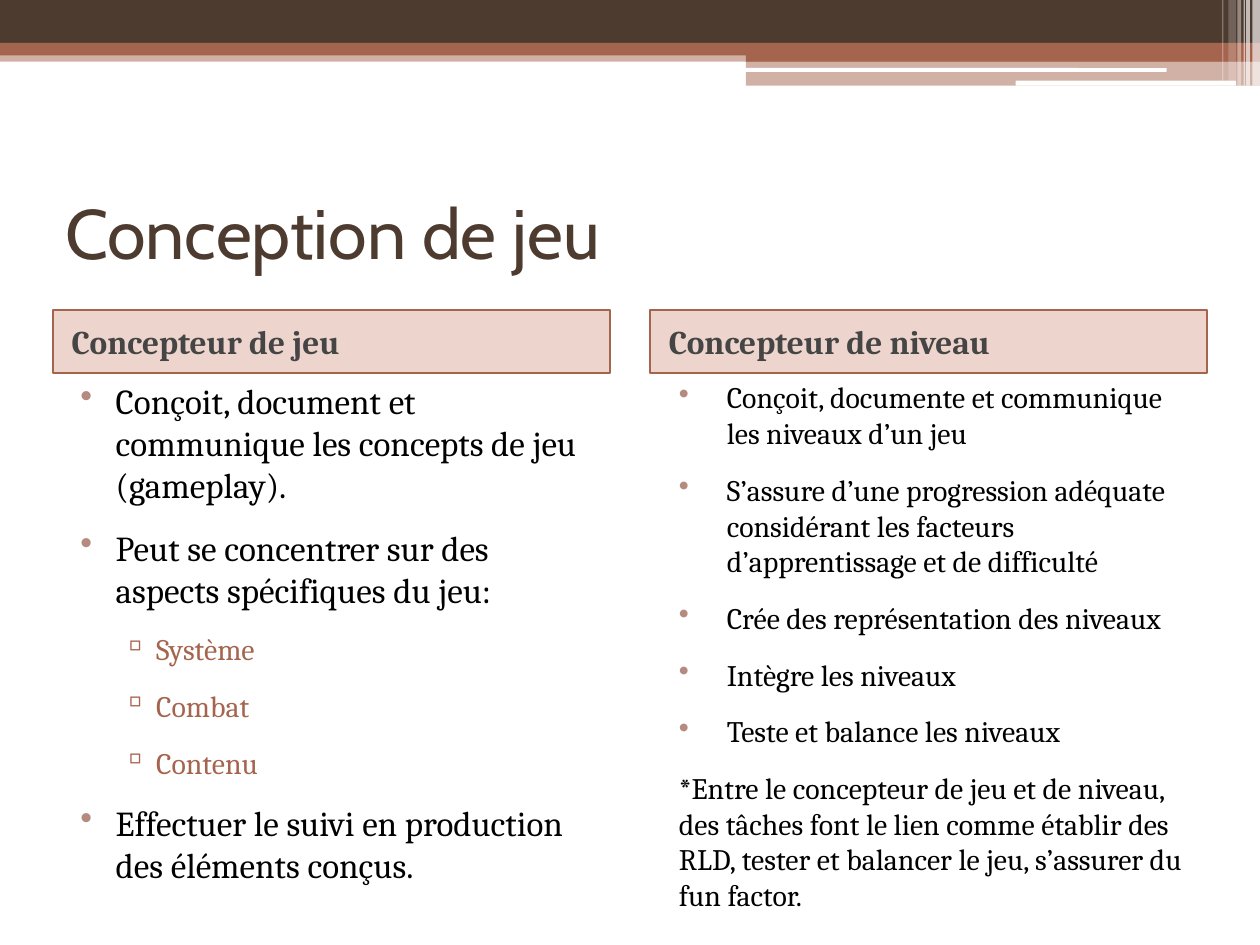
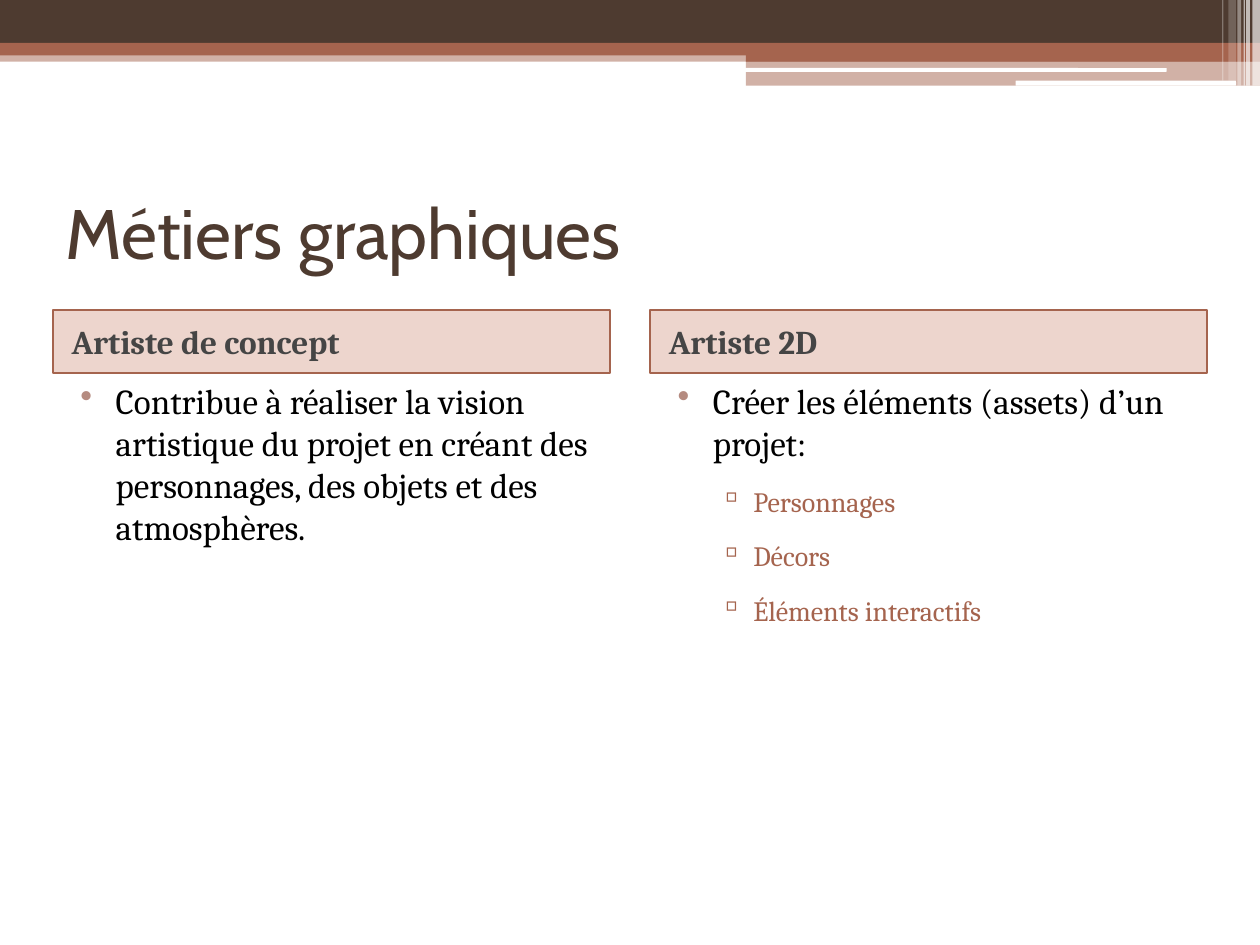
from dataclasses import dataclass

import pptx
import pptx.dml.color
import pptx.enum.shapes
import pptx.enum.text
import pptx.oxml
import pptx.oxml.ns
import pptx.util
from lxml import etree

Pt = pptx.util.Pt
RGB = pptx.dml.color.RGBColor.from_string
SHAPE = pptx.enum.shapes.MSO_SHAPE
ANCHOR = pptx.enum.text.MSO_ANCHOR
qn = pptx.oxml.ns.qn


@dataclass(frozen=True)
class Level:
    size: float
    color: str
    margin: float
    hanging: float = 0
    bullet: str = ""
    bullet_color: str = ""
    depth: int = 0


class Theme:
    # Colours
    brown = "4E3B30"
    rust = "A5644E"
    header_fill = "BB5938"
    header_text = "454545"
    rose = "B58B80"
    white = "FFFFFF"
    black = "000000"
    # Type
    title_font = "Cabin"
    body_font = "Cambria"
    title_size = 40
    header_size = 19
    body_gap = 12
    # Text levels
    levels = {
        "main": Level(20, black, 28.8, 20.16, "•", rose),
        "sub": Level(17, rust, 51.84, 19.44, "▫", rust, 1),
        "small sub": Level(16, rust, 51.84, 19.44, "▫", rust, 1),
        "dense": Level(17, black, 36.72, 27.36, "•", rose),
        "note": Level(17, black, 9.36),
    }
    header_level = Level(header_size, header_text, 3.6)
    title_level = Level(title_size, brown, 0)


# Page grid, in points
PAGE_W, PAGE_H = 720, 540
MARGIN = 30.24
COL_W = 318.24
COL_LEFTS = (MARGIN, PAGE_W - MARGIN - COL_W)
TITLE_TOP, TITLE_H = 90, 84.24
HEADER_TOP, HEADER_H = 177.12, 36
BODY_TOP, BODY_H = HEADER_TOP + HEADER_H, 306
BAND_X = 426.24

# Top bands: left, top, width, height, colour, opacity in percent
BANDS = [
    (0, 28.8, PAGE_W, 6.48, Theme.rust, 50),
    (0, 0, PAGE_W, 24.48, Theme.brown, 100),
    (0, 24.48, PAGE_W, 7.2, Theme.rust, 100),
    (BAND_X, 28.08, PAGE_W - BAND_X, 7.2, Theme.rust, 100),
    (BAND_X, 34.56, PAGE_W - BAND_X, 14.4, Theme.rust, 50),
]
# White bars cut into the bands: left, top, width, height
BARS = [(425.52, 38.88, 241.2, 2.16), (580.32, 46.08, 126, 2.88)]
# Vertical glints at the right edge: left, width, height, opacity
GLINTS = [
    (715.68, 4.32, 48.96, 65),
    (712.08, 2.16, 48.96, 65),
    (710.64, 0.72, 48.96, 60),
    (707.04, 2.16, 48.96, 40),
    (702, 4.32, 46.08, 20),
    (698.4, 0.72, 46.08, 30),
]


class Deck:
    def __init__(self, theme):
        self.theme = theme
        self.prs = pptx.Presentation()
        self.prs.slide_width, self.prs.slide_height = Pt(PAGE_W), Pt(PAGE_H)
        self.s = None

    def new_slide(self):
        self.s = self.prs.slides.add_slide(self.prs.slide_layouts[6])
        for x, y, w, h, color, opacity in BANDS:
            self.box(x, y, w, h, color, opacity)
        for x, y, w, h in BARS:
            self.box(x, y, w, h, self.theme.white, kind=SHAPE.ROUNDED_RECTANGLE)
        for x, w, h, opacity in GLINTS:
            self.box(x, 0, w, h, self.theme.white, opacity)

    def box(self, x, y, w, h, color, opacity=100, line=None, kind=SHAPE.RECTANGLE):
        sp = self.s.shapes.add_shape(kind, Pt(x), Pt(y), Pt(w), Pt(h))
        sp.shadow.inherit = False
        sp.fill.solid()
        sp.fill.fore_color.rgb = RGB(color)
        if opacity < 100:
            clr = sp._element.spPr.find(qn("a:solidFill")).find(qn("a:srgbClr"))
            etree.SubElement(clr, qn("a:alpha"), val=str(opacity * 1000))
        if line:
            sp.line.color.rgb = RGB(line)
            sp.line.width = Pt(1)
        else:
            sp.line.fill.background()
        return sp

    def text_box(self, x, y, w, h, anchor=ANCHOR.TOP):
        sp = self.s.shapes.add_textbox(Pt(x), Pt(y), Pt(w), Pt(h))
        tf = sp.text_frame
        tf.word_wrap = True
        tf.vertical_anchor = anchor
        return tf

    def fill_paragraph(self, p, text, level, font, bold=False):
        p.text = text
        p.alignment = pptx.enum.text.PP_ALIGN.LEFT
        p.level = level.depth
        pPr = p._p.get_or_add_pPr()
        pPr.set("marL", str(Pt(level.margin)))
        pPr.set("indent", str(Pt(-level.hanging)))
        if level.bullet:
            clr = etree.SubElement(pPr, qn("a:buClr"))
            etree.SubElement(clr, qn("a:srgbClr"), val=level.bullet_color)
            etree.SubElement(pPr, qn("a:buChar"), char=level.bullet)
        for r in p.runs:
            r.font.name = font
            r.font.size = Pt(level.size)
            r.font.bold = bold
            r.font.color.rgb = RGB(level.color)

    def title(self, text):
        tf = self.text_box(MARGIN, TITLE_TOP, PAGE_W - 2 * MARGIN, TITLE_H,
                           ANCHOR.MIDDLE)
        self.fill_paragraph(tf.paragraphs[0], text, self.theme.title_level,
                            self.theme.title_font)

    def header(self, x, text):
        sp = self.box(x, HEADER_TOP, COL_W, HEADER_H, self.theme.header_fill, 25,
                      self.theme.rust)
        tf = sp.text_frame
        tf.word_wrap = True
        tf.vertical_anchor = ANCHOR.MIDDLE
        self.fill_paragraph(tf.paragraphs[0], text, self.theme.header_level,
                            self.theme.body_font, bold=True)

    def body(self, x, items):
        tf = self.text_box(x, BODY_TOP, COL_W, BODY_H)
        for i, (level, text) in enumerate(items):
            p = tf.add_paragraph() if i else tf.paragraphs[0]
            self.fill_paragraph(p, text, self.theme.levels[level],
                                self.theme.body_font)
            p.space_before = Pt(self.theme.body_gap if i else 0)


# Content: title, then header and items for each column
SLIDES = [
    ("Conception de jeu", [
        ("Concepteur de jeu", [
            ("main", "Conçoit, document et communique les concepts de jeu (gameplay)."),
            ("main", "Peut se concentrer sur des aspects spécifiques du jeu:"),
            ("sub", "Système"),
            ("sub", "Combat"),
            ("sub", "Contenu"),
            ("main", "Effectuer le suivi en production des éléments conçus."),
        ]),
        ("Concepteur de niveau", [
            ("dense", "Conçoit, documente et communique les niveaux d’un jeu"),
            ("dense", "S’assure d’une progression adéquate considérant les facteurs "
                      "d’apprentissage et de difficulté"),
            ("dense", "Crée des représentation des niveaux"),
            ("dense", "Intègre les niveaux"),
            ("dense", "Teste et balance les niveaux"),
            ("note", "*Entre le concepteur de jeu et de niveau, des tâches font le lien "
                     "comme établir des RLD, tester et balancer le jeu, s’assurer du "
                     "fun factor."),
        ]),
    ]),
    ("Métiers graphiques", [
        ("Artiste de concept", [
            ("main", "Contribue à réaliser la vision artistique du projet en créant des "
                     "personnages, des objets et des atmosphères."),
        ]),
        ("Artiste 2D", [
            ("main", "Créer les éléments (assets) d’un projet:"),
            ("small sub", "Personnages"),
            ("small sub", "Décors"),
            ("small sub", "Éléments interactifs"),
        ]),
    ]),
]


def main():
    deck = Deck(Theme)
    for title, columns in SLIDES:
        deck.new_slide()
        deck.title(title)
        for x, (header, items) in zip(COL_LEFTS, columns):
            deck.header(x, header)
            deck.body(x, items)
    deck.prs.save("out.pptx")


if __name__ == "__main__":
    main()
